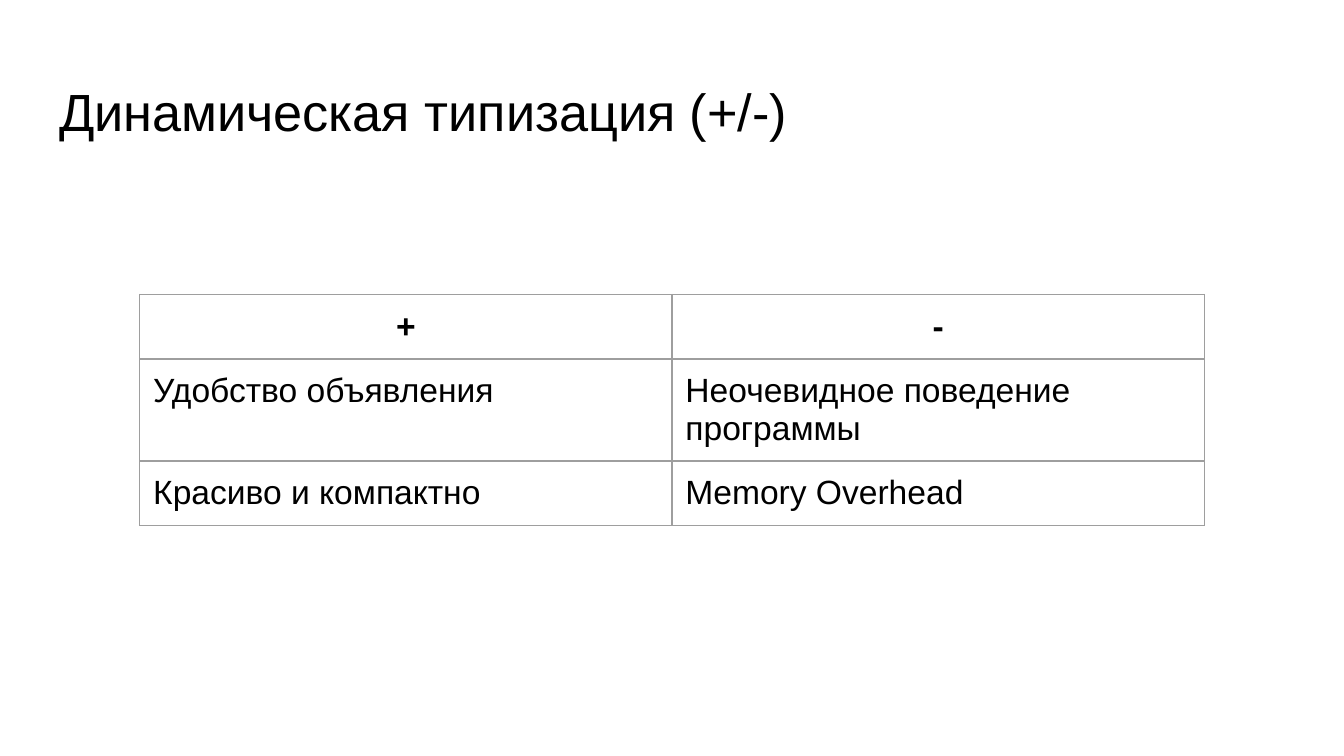
"""Build a slide that weighs the pros and cons of dynamic typing."""
from lxml import etree
from pptx import Presentation
from pptx.dml.color import RGBColor
from pptx.enum import text
from pptx.oxml import ns
from pptx.util import Inches, Pt

BLACK = RGBColor(0x00, 0x00, 0x00)
GREY = RGBColor(0x9E, 0x9E, 0x9E)
LEFT, CENTER = text.PP_ALIGN.LEFT, text.PP_ALIGN.CENTER

ROWS = [
    ("+", "-"),
    ("Удобство объявления", "Неочевидное поведение программы"),
    ("Красиво и компактно", "Memory Overhead"),
]


def write(tf, content, size=18, bold=False, align=LEFT, color=BLACK, font="Arial"):
    tf.word_wrap = True
    p = tf.paragraphs[0]
    p.alignment = align
    r = p.add_run()
    r.text = content
    r.font.name = font
    r.font.size = Pt(size)
    r.font.bold = bold
    r.font.color.rgb = color


class Deck:
    def __init__(self, prs):
        self.inset = Inches(0.1)
        self.border = Pt(0.75)
        self.s = prs.slides.add_slide(prs.slide_layouts[5])

    def pad(self, box):
        box.margin_left = box.margin_right = self.inset
        box.margin_top = box.margin_bottom = self.inset
        box.vertical_anchor = text.MSO_ANCHOR.TOP

    def title(self, content, x, y, w, h):
        sp = self.s.shapes.title
        sp.left, sp.top, sp.width, sp.height = map(Inches, (x, y, w, h))
        tf = sp.text_frame
        tf.auto_size = text.MSO_AUTO_SIZE.NONE
        self.pad(tf)
        write(tf, content, size=28)

    def outline(self, cell):
        tc_pr = cell._tc.get_or_add_tcPr()
        for i, side in enumerate(("lnL", "lnR", "lnT", "lnB")):
            ln = etree.Element(ns.qn(f"a:{side}"), w=str(self.border))
            fill = etree.SubElement(ln, ns.qn("a:solidFill"))
            etree.SubElement(fill, ns.qn("a:srgbClr"), val=str(GREY))
            tc_pr.insert(i, ln)

    def table(self, rows, x, y, col_w, row_h):
        n, m = len(rows), len(rows[0])
        size = map(Inches, (x, y, col_w * m, row_h * n))
        table = self.s.shapes.add_table(n, m, *size).table
        table.horz_banding = False
        for i, row in enumerate(rows):
            head = i == 0
            for j, content in enumerate(row):
                cell = table.cell(i, j)
                cell.fill.background()
                self.pad(cell)
                self.outline(cell)
                write(cell.text_frame, content, bold=head, align=CENTER if head else LEFT)


def main():
    prs = Presentation()
    prs.slide_width = Inches(10)
    prs.slide_height = prs.slide_width * 9 // 16
    deck = Deck(prs)
    deck.title("Динамическая типизация (+/-)", 0.34, 0.49, 9.32, 0.63)
    deck.table(ROWS, 1.04, 2.19, col_w=3.96, row_h=0.42)
    prs.save("out.pptx")


if __name__ == "__main__":
    main()
